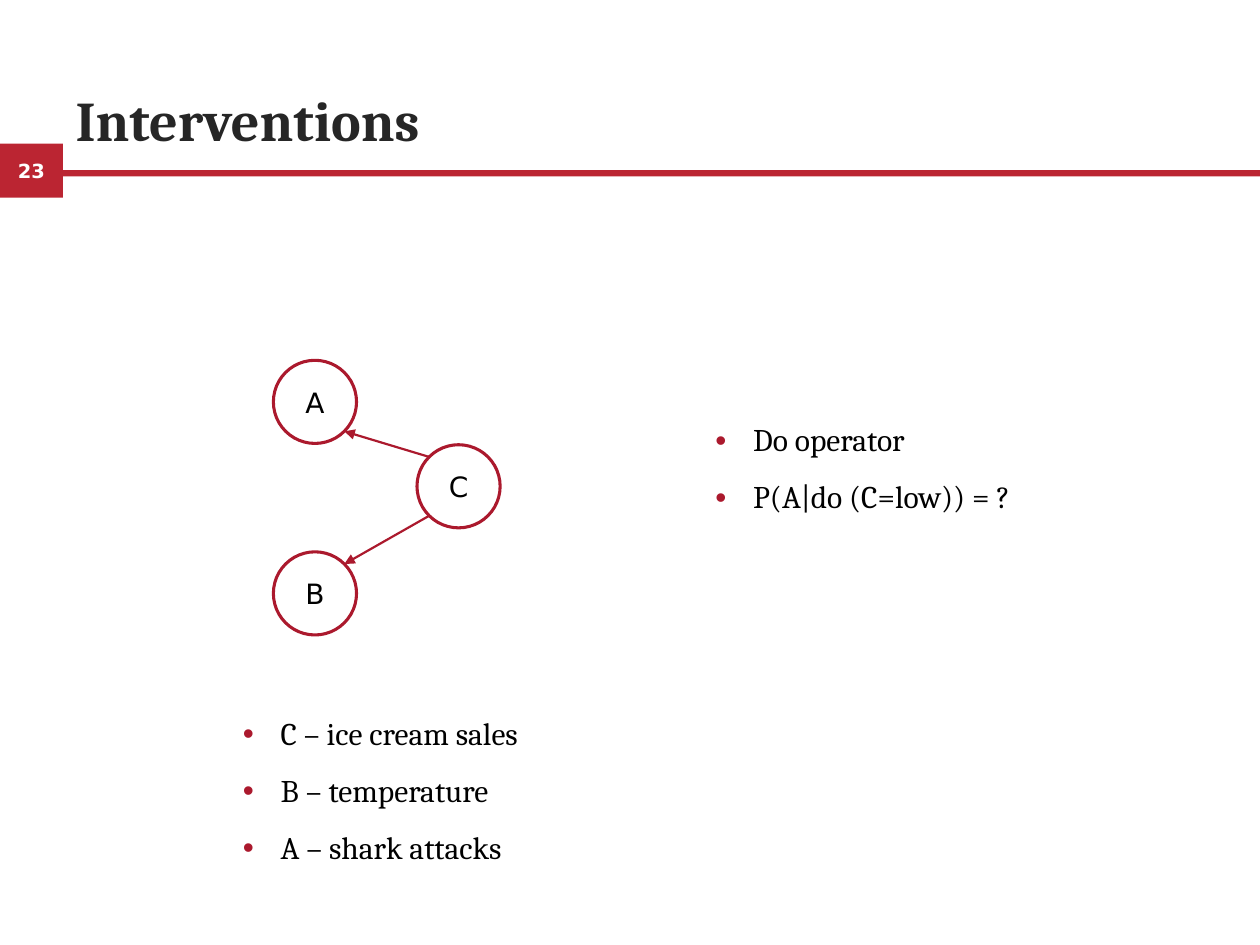
import math
import pptx
import pptx.dml.color
import pptx.enum.shapes
import pptx.enum.text
import pptx.oxml
import pptx.oxml.ns
import pptx.util

# Content
TITLE = "Interventions"
PAGE = "23"
NODES = {"A": (2.5, 3.19), "B": (2.5, 4.71), "C": (3.64, 3.86)}  # centres
EDGES = [("C", "A"), ("C", "B")]
LISTS = [
    ((5.58, 3.31, 3.44, 1.14), ["Do operator", "P(A|do (C=low)) = ?"]),
    ((1.83, 5.64, 3.44, 1.61),
     ["C – ice cream sales", "B – temperature", "A – shark attacks"]),
]

# Theme
THEME = {
    "band": "BB2532", "line": "AB192D", "paper": "FFFFFF",
    "title": dict(size=32, name="Cambria", color="262626", bold=True),
    "list": dict(size=18, name="Cambria", color="000000", bold=False),
    "node": dict(size=16, name="DejaVu Sans", color="000000", bold=False),
    "page": dict(size=11.1, name="DejaVu Sans", color="FFFFFF", bold=True),
}
WIDE, HIGH = 10, 7.5
SIZE = 0.66   # node width
LEFT = 0.5    # page tab width
HANG = 0.3    # bullet indent

Inches, Pt = pptx.util.Inches, pptx.util.Pt
Shape = pptx.enum.shapes.MSO_SHAPE
Align, Anchor = pptx.enum.text.PP_ALIGN, pptx.enum.text.MSO_ANCHOR
NS = pptx.oxml.ns.nsdecls("a")


def paint(code):
    return pptx.dml.color.RGBColor.from_string(code)


def add_xml(parent, body):
    parent.append(pptx.oxml.parse_xml(body))


def write(par, text, style):
    run = par.add_run()
    run.text = text
    for key, value in THEME[style].items():
        if key == "color":
            run.font.color.rgb = paint(value)
        else:
            setattr(run.font, key, Pt(value) if key == "size" else value)


def draw(slide, kind, box, fill, line=None, text=None, style=None):
    shape = slide.shapes.add_shape(kind, *map(Inches, box))
    shape.shadow.inherit = False
    shape.fill.solid()
    shape.fill.fore_color.rgb = paint(fill)
    if line:
        shape.line.color.rgb = paint(line)
        shape.line.width = Pt(1.75)
    else:
        shape.line.fill.background()
    if text:
        frame = shape.text_frame
        frame.word_wrap = False
        frame.vertical_anchor = Anchor.MIDDLE
        frame.paragraphs[0].alignment = Align.CENTER
        write(frame.paragraphs[0], text, style)


def add_list(slide, box, items):
    frame = slide.shapes.add_textbox(*map(Inches, box)).text_frame
    frame.word_wrap = True
    form = dict(line_spacing=0.95, space_before=Pt(12))
    for i, item in enumerate(items):
        par = frame.add_paragraph() if i else frame.paragraphs[0]
        for key, value in form.items():
            setattr(par, key, value)
        props = par._p.get_or_add_pPr()
        props.set("marL", str(Inches(HANG)))
        props.set("indent", str(-Inches(HANG)))
        add_xml(props, f'<a:buClr {NS}><a:srgbClr val="{THEME["line"]}"/></a:buClr>')
        add_xml(props, f'<a:buFont {NS} typeface="Arial"/>')
        add_xml(props, f'<a:buChar {NS} char="•"/>')
        write(par, item, "list")


def add_edge(slide, start, end):
    # Edges run between the diagonal points of the two circles
    (x1, y1), (x2, y2) = NODES[start], NODES[end]
    reach = SIZE / 2 * math.sqrt(0.5)
    dx, dy = math.copysign(reach, x2 - x1), math.copysign(reach, y2 - y1)
    ends = (x1 + dx, y1 + dy, x2 - dx, y2 - dy)
    edge = slide.shapes.add_connector(
        pptx.enum.shapes.MSO_CONNECTOR.STRAIGHT, *map(Inches, ends))
    edge.line.color.rgb = paint(THEME["line"])
    edge.line.width = Pt(1.25)
    add_xml(edge.line._get_or_add_ln(), f'<a:tailEnd {NS} type="triangle"/>')
    add_xml(edge._element.spPr, f"<a:effectLst {NS}/>")


def main():
    deck = pptx.Presentation()
    deck.slide_width, deck.slide_height = Inches(WIDE), Inches(HIGH)
    slide = deck.slides.add_slide(deck.slide_layouts[5])

    # Page tab and rule
    draw(slide, Shape.RECTANGLE, (0, 1.14, LEFT, 0.43), THEME["band"],
         text=PAGE, style="page")
    draw(slide, Shape.RECTANGLE, (LEFT, 1.35, WIDE - LEFT, 0.05), THEME["band"])

    # Title
    title = slide.shapes.title
    place = dict(left=LEFT, top=0.38, width=9.17, height=0.88)
    for key, value in place.items():
        setattr(title, key, Inches(value))
    title.text_frame.vertical_anchor = Anchor.BOTTOM
    title.text_frame.paragraphs[0].alignment = Align.LEFT
    write(title.text_frame.paragraphs[0], TITLE, "title")

    # Causal graph
    for name, (x, y) in NODES.items():
        draw(slide, Shape.OVAL, (x - SIZE / 2, y - SIZE / 2, SIZE, SIZE),
             THEME["paper"], THEME["line"], name, "node")
    for start, end in EDGES:
        add_edge(slide, start, end)

    # Bullet lists
    for box, items in LISTS:
        add_list(slide, box, items)

    deck.save("out.pptx")


if __name__ == "__main__":
    main()
